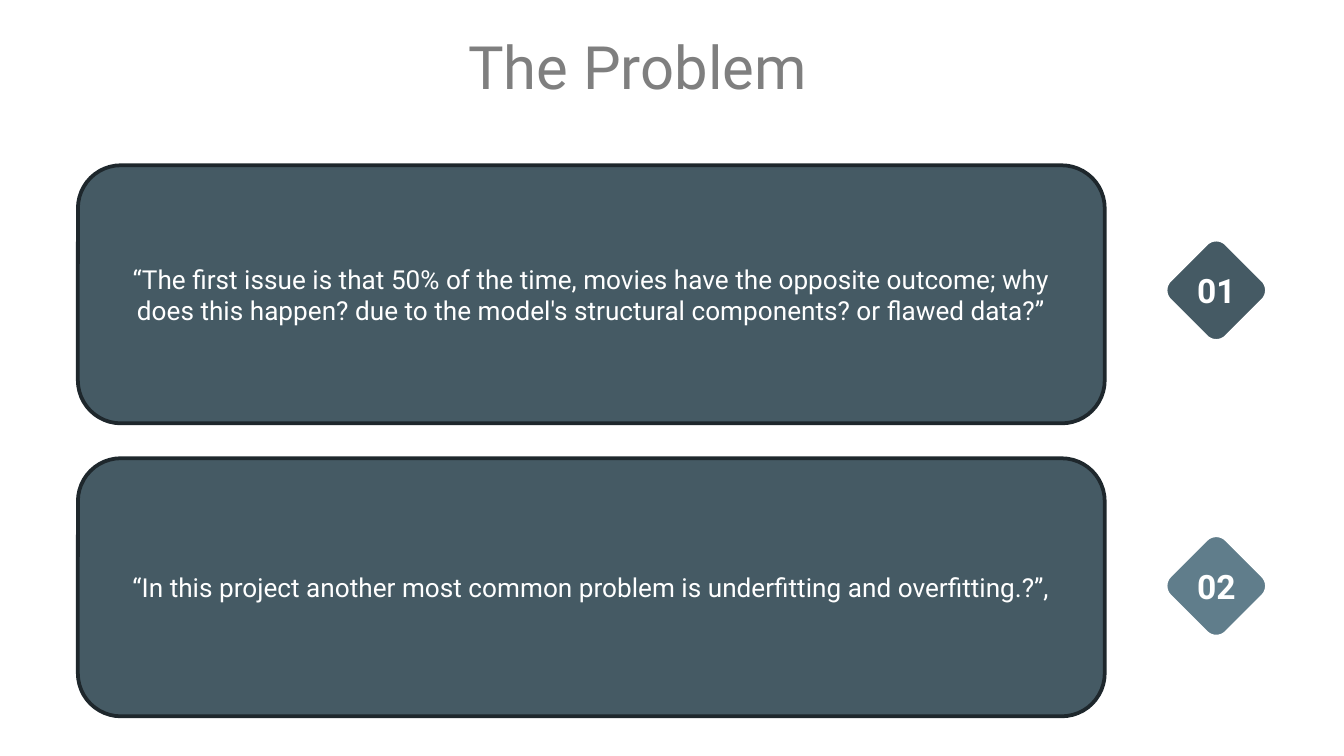
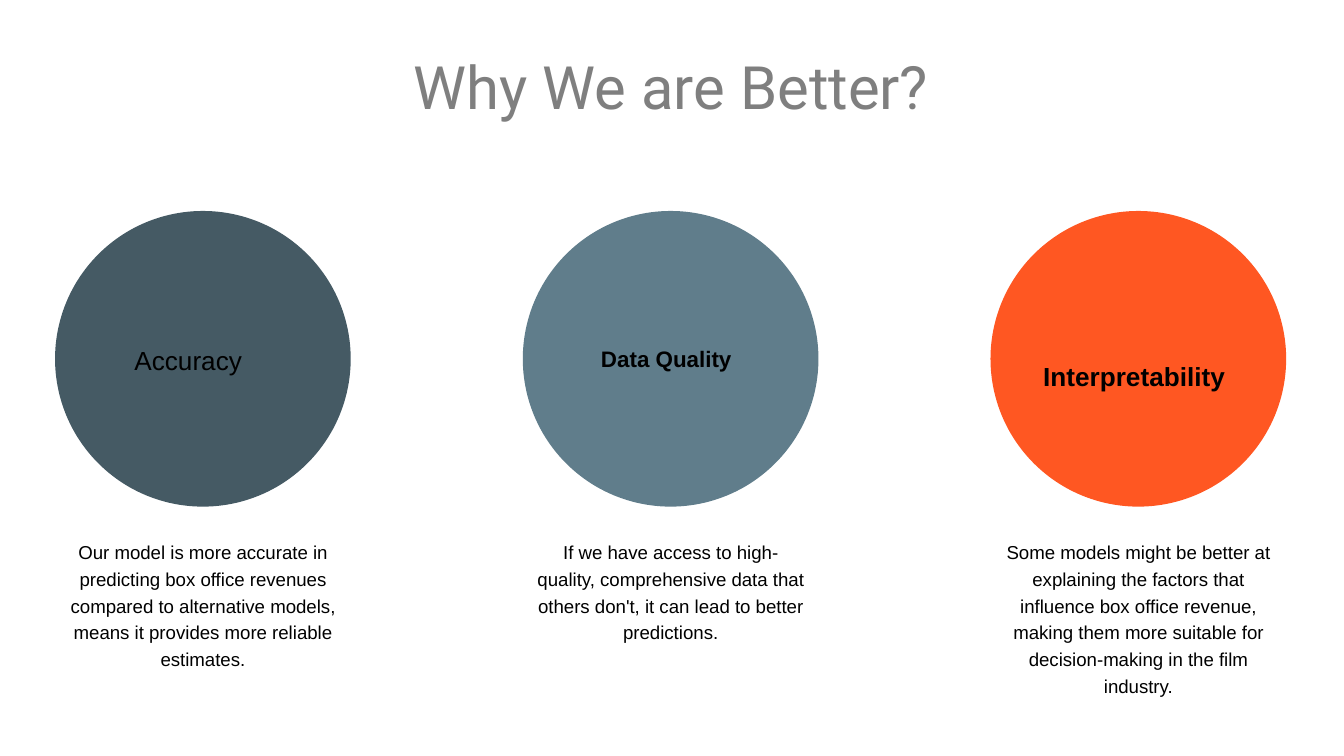
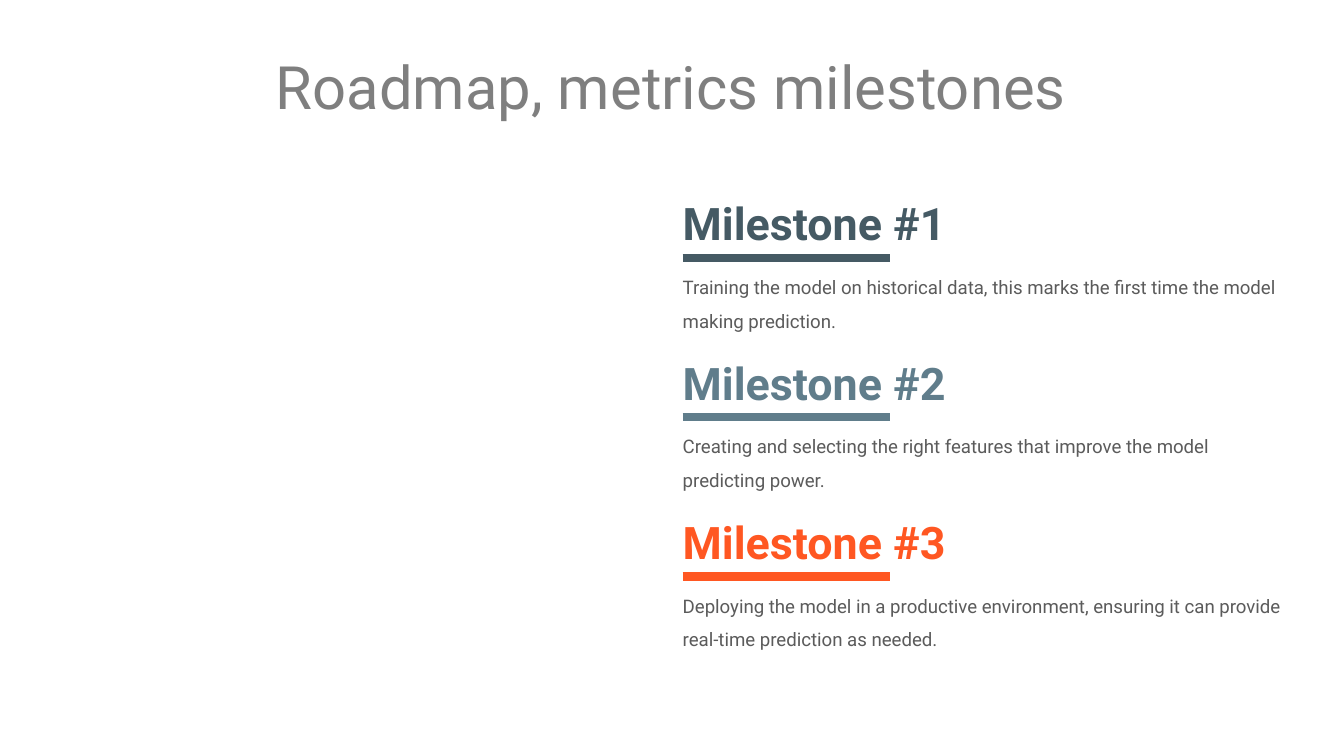
from dataclasses import dataclass
from math import cos, pi, sin

from lxml import etree
from pptx import Presentation
from pptx.dml.color import RGBColor
from pptx.enum import shapes, text
from pptx.oxml import ns
from pptx.util import Inches, Pt

SLATE = RGBColor(0x45, 0x5A, 0x64)
STEEL = RGBColor(0x60, 0x7D, 0x8B)
ORANGE = RGBColor(0xFF, 0x57, 0x22)
INK = RGBColor(0x1E, 0x27, 0x2C)
TITLE_GRAY = RGBColor(0x7F, 0x7F, 0x7F)
BODY_GRAY = RGBColor(0x5B, 0x5B, 0x5B)
BLACK = RGBColor(0, 0, 0)
WHITE = RGBColor(0xFF, 0xFF, 0xFF)

LEFT, CENTER = text.PP_ALIGN.LEFT, text.PP_ALIGN.CENTER
TOP, MIDDLE = text.MSO_ANCHOR.TOP, text.MSO_ANCHOR.MIDDLE


@dataclass(frozen=True)
class Style:
    size: float
    color: RGBColor
    font: str = "Roboto"
    bold: bool = False
    align: text.PP_ALIGN = CENTER
    anchor: text.MSO_ANCHOR = MIDDLE
    spacing: float = 1.0
    margins: tuple = (0, 0, 0, 0)  # left, top, right, bottom in inches


@dataclass(frozen=True)
class Problem:
    number: str
    color: RGBColor
    card_top: float
    badge_top: float
    words: str


@dataclass(frozen=True)
class Strength:
    color: RGBColor
    label: str
    label_style: Style
    caption: str


@dataclass(frozen=True)
class Milestone:
    color: RGBColor
    words: str


TITLE = Style(32, TITLE_GRAY)
CARD = Style(14, WHITE, margins=(0.1, 0.05, 0.1, 0.05))
BADGE = Style(18, WHITE, bold=True, margins=(0.1, 0.05, 0.1, 0.05))
CAPTION = Style(10, BLACK, "Arial", anchor=TOP, spacing=1.2)
MILESTONE_BODY = Style(10, BODY_GRAY, align=LEFT, anchor=TOP, spacing=1.5)
ACCURACY = Style(14, BLACK, "Arial", align=LEFT, anchor=TOP,
                 margins=(0.41, 0.27, 0, 0.05))
DATA_QUALITY = Style(12, BLACK, "Arial", True, LEFT, margins=(0.26, 0.04, 0.07, 0.04))
INTERPRETABILITY = Style(14, BLACK, "Arial", True, LEFT,
                         margins=(0.07, 0.29, 0.07, 0.04))

PROBLEMS = [
    Problem("01", SLATE, 1.23, 1.79,
            "“The first issue is that 50% of the time, movies have the opposite outcome; "
            "why does this happen? due to the model's structural components? "
            "or flawed data?”"),
    Problem("02", STEEL, 3.41, 3.99,
            "“In this project another most common problem is underfitting and "
            "overfitting.?”,"),
]
STRENGTHS = [
    Strength(SLATE, "Accuracy", ACCURACY,
             "Our model is more accurate in predicting box office revenues compared to "
             "alternative models, means it provides more reliable estimates."),
    Strength(STEEL, "Data Quality", DATA_QUALITY,
             "If we have access to high-quality, comprehensive data that others don't, "
             "it can lead to better predictions."),
    Strength(ORANGE, "Interpretability", INTERPRETABILITY,
             "Some models might be better at explaining the factors that influence box "
             "office revenue, making them more suitable for decision-making in the film "
             "industry."),
]
MILESTONES = [
    Milestone(SLATE, "Training the model on historical data, this marks the first time "
                     "the model making prediction."),
    Milestone(STEEL, "Creating and selecting the right features that improve the model "
                     "predicting power."),
    Milestone(ORANGE, "Deploying the model in a productive environment, ensuring it can "
                      "provide real-time prediction as needed."),
]


def write(shape, words: str, style: Style) -> None:
    frame = shape.text_frame
    frame.word_wrap = True
    frame.auto_size = text.MSO_AUTO_SIZE.NONE
    frame.vertical_anchor = style.anchor
    (frame.margin_left, frame.margin_top,
     frame.margin_right, frame.margin_bottom) = map(Inches, style.margins)
    para = frame.paragraphs[0]
    para.alignment = style.align
    para.line_spacing = style.spacing
    span = para.add_run()
    span.text = words
    span.font.name = style.font
    span.font.size = Pt(style.size)
    span.font.bold = style.bold
    span.font.color.rgb = style.color


def add_text(page, left: float, top: float, width: float, height: float,
             words: str, style: Style) -> None:
    box = page.shapes.add_textbox(*map(Inches, (left, top, width, height)))
    write(box, words, style)


def paint(shape, fill: RGBColor, line: RGBColor | None = None, width: float = 1) -> None:
    shape.shadow.inherit = False
    shape.fill.solid()
    shape.fill.fore_color.rgb = fill
    if line is None:
        shape.line.fill.background()
    else:
        shape.line.color.rgb = line
        shape.line.width = Pt(width)


def add_page(deck, title: str, left: float = 0.42, top: float = 0.37):
    page = deck.slides.add_slide(deck.slide_layouts[5])
    box = page.shapes.title
    box.left, box.top, box.width, box.height = map(Inches, (left, top, 9.15, 0.54))
    write(box, title, TITLE)
    return page


def add_badge(page, left: float, top: float, problem: Problem) -> None:
    """Draw a numbered diamond whose four corners are quarter circles."""
    half, radius, steps = 0.37, 0.1, 8
    points = []
    for corner in range(4):
        axis = corner * pi / 2
        for step in range(steps + 1):
            angle = axis - pi / 4 + step * pi / 2 / steps
            x = left + half + (half - radius) * cos(axis) + radius * cos(angle)
            y = top + half + (half - radius) * sin(axis) + radius * sin(angle)
            points.append((Inches(x), Inches(y)))
    builder = page.shapes.build_freeform(*points[0])
    builder.add_line_segments(points[1:], close=True)
    badge = builder.convert_to_shape()
    paint(badge, problem.color, WHITE)
    write(badge, problem.number, BADGE)


def add_rule(page, left: float, right: float, y: float, color: RGBColor) -> None:
    rule = page.shapes.add_connector(
        shapes.MSO_CONNECTOR.STRAIGHT, *map(Inches, (left, y, right, y)))
    rule.line.color.rgb = color
    rule.line.width = Pt(4.5)
    etree.SubElement(rule._element.spPr, ns.qn("a:effectLst"))


def build_problem(deck) -> None:
    page = add_page(deck, "The Problem", 0.17, 0.22)
    for problem in PROBLEMS:
        add_badge(page, 8.68, problem.badge_top, problem)
        card = page.shapes.add_shape(
            shapes.MSO_SHAPE.ROUNDED_RECTANGLE,
            *map(Inches, (0.58, problem.card_top, 7.64, 1.92)))
        paint(card, SLATE, INK, 2)
        write(card, problem.words, CARD)


def build_strengths(deck) -> None:
    page = add_page(deck, "Why We are Better?")
    for column, strength in enumerate(STRENGTHS):
        left = 0.41 + 3.48 * column
        circle = page.shapes.add_shape(
            shapes.MSO_SHAPE.OVAL, *map(Inches, (left, 1.57, 2.2, 2.2)))
        paint(circle, strength.color)
        if strength.label_style is ACCURACY:
            add_text(page, left + 0.18, 2.29, 1.54, 0.57, strength.label, ACCURACY)
        else:
            write(circle, strength.label, strength.label_style)
        add_text(page, left + 0.1, 3.99, 2, 0.83, strength.caption, CAPTION)


def build_roadmap(deck) -> None:
    page = add_page(deck, "Roadmap, metrics milestones")
    left, width = 5.08, 4.49
    first_top, last_top = 1.46, 3.83
    pitch = (last_top - first_top) / (len(MILESTONES) - 1)
    for row, milestone in enumerate(MILESTONES):
        top = first_top + pitch * row
        heading = Style(24, milestone.color, bold=True, align=LEFT)
        add_rule(page, left, left + 1.54, top + 0.46, milestone.color)
        add_text(page, left, top, width, 0.4, f"Milestone #{row + 1}", heading)
        add_text(page, left, top + 0.51, width, 0.48, milestone.words, MILESTONE_BODY)


def main() -> None:
    deck = Presentation()
    deck.slide_width = Inches(10)
    deck.slide_height = deck.slide_width * 9 // 16
    build_problem(deck)
    build_strengths(deck)
    build_roadmap(deck)
    deck.save("out.pptx")


if __name__ == "__main__":
    main()
